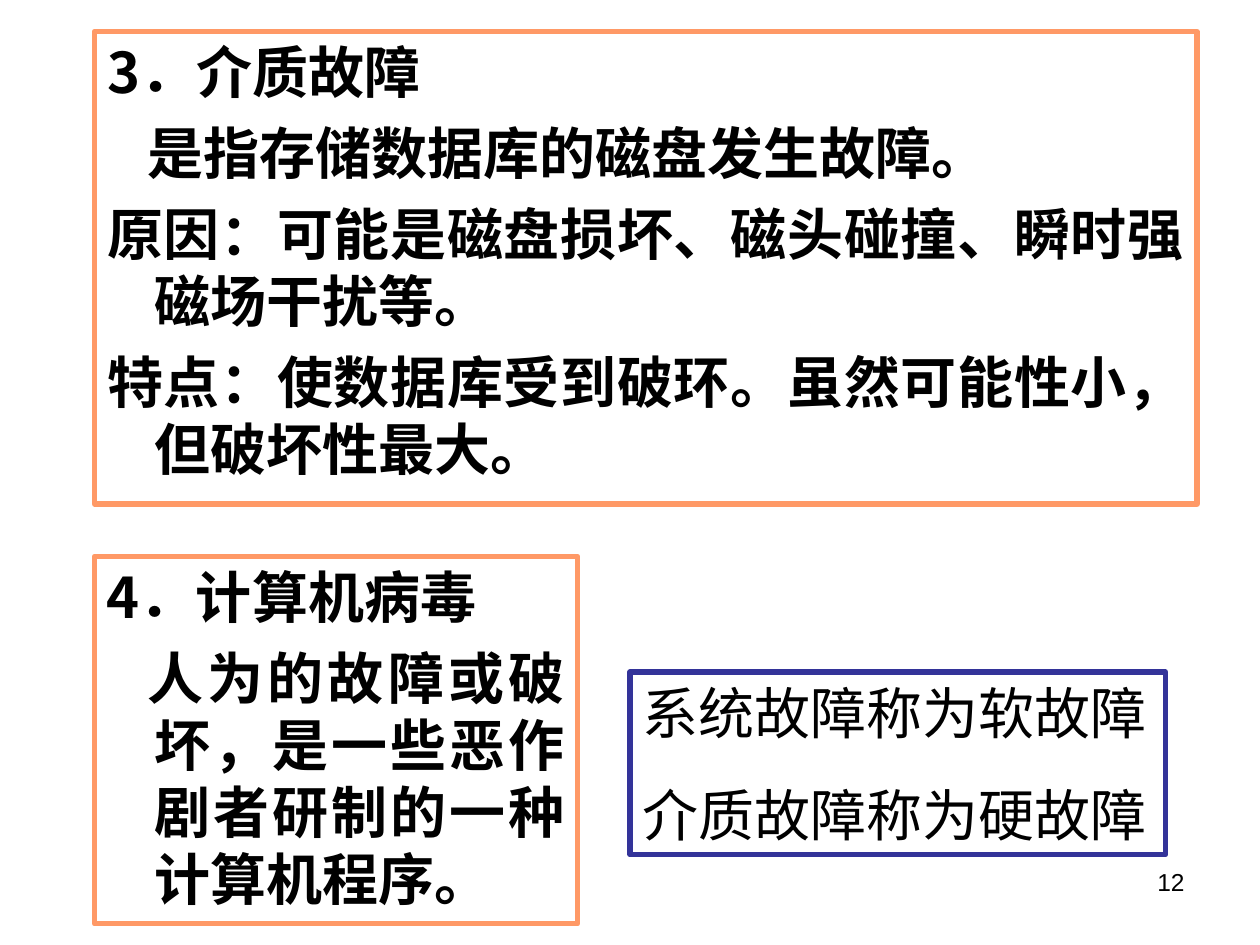
from lxml import etree
from pptx import Presentation
from pptx.dml.color import RGBColor
from pptx.enum.shapes import MSO_SHAPE
from pptx.enum.text import MSO_ANCHOR, MSO_AUTO_SIZE, PP_ALIGN
from pptx.oxml.ns import qn
from pptx.util import Pt

RECT = MSO_SHAPE.RECTANGLE
TOP = MSO_ANCHOR.TOP
NO_FIT = MSO_AUTO_SIZE.NONE
LEFT, RIGHT, JUSTIFY = PP_ALIGN.LEFT, PP_ALIGN.RIGHT, PP_ALIGN.JUSTIFY

BLACK = RGBColor(0x00, 0x00, 0x00)
WHITE = RGBColor(0xFF, 0xFF, 0xFF)
ORANGE = RGBColor(0xFF, 0x99, 0x66)
INDIGO = RGBColor(0x33, 0x33, 0x99)

CJK = "Noto Sans CJK SC"
MARGIN = 27  # left edge of wrapped lines
HANG = -27   # first line of a heading or labelled paragraph
INSET = -4   # first line of an explanation


def add_text(tf, text, *, first=False, font=CJK, size=32, bold=False,
             align=LEFT, before=0, line=None, margin=0, indent=0):
    """Write one paragraph into a text frame."""
    p = tf.paragraphs[0] if first else tf.add_paragraph()
    p.alignment = align
    p.space_before = Pt(0 if first else before)
    if line:
        p.line_spacing = Pt(line)
    pPr = p._p.get_or_add_pPr()
    pPr.set("marL", str(Pt(margin)))
    pPr.set("indent", str(Pt(indent)))
    etree.SubElement(pPr, qn("a:buNone"))
    r = p.add_run()
    r.text = text
    r.font.name, r.font.size, r.font.bold = font, Pt(size), bold
    r.font.color.rgb = BLACK
    ea = etree.SubElement(r._r.get_or_add_rPr(), qn("a:ea"))
    ea.set("typeface", CJK)


def set_frame(s):
    """Give a shape a wrapping, top-anchored text frame."""
    tf = s.text_frame
    tf.word_wrap = True
    tf.auto_size = NO_FIT
    tf.vertical_anchor = TOP
    return tf


def format_panel(s, color):
    """Paint a white panel with a coloured border."""
    s.fill.solid()
    s.fill.fore_color.rgb = WHITE
    s.line.color.rgb = color
    s.line.width = Pt(3)
    return set_frame(s)


def add_panel(slide, left, top, width, height, color):
    s = slide.shapes.add_shape(RECT, Pt(left), Pt(top), Pt(width), Pt(height))
    s.shadow.inherit = False
    return format_panel(s, color)


def add_fault(tf, items):
    """Write a fault description as (text, first-line indent) pairs."""
    for i, (text, indent) in enumerate(items):
        add_text(tf, text, first=i == 0, bold=True, align=JUSTIFY, before=8,
                 line=38.3, margin=MARGIN, indent=indent)


def main():
    prs = Presentation()
    prs.slide_width, prs.slide_height = Pt(720), Pt(540)
    slide = prs.slides.add_slide(prs.slide_layouts[1])
    title = slide.shapes.title
    title._element.getparent().remove(title._element)

    # Page number
    s = slide.shapes.add_textbox(Pt(516), Pt(492), Pt(168), Pt(37.5))
    add_text(set_frame(s), "12", first=True, font="Arial", size=14, align=RIGHT)

    # Media failure
    body = slide.placeholders[1]
    body.left, body.top, body.width, body.height = Pt(54), Pt(18), Pt(630), Pt(270)
    add_fault(format_panel(body, ORANGE), [
        ("3．介质故障", HANG),
        ("是指存储数据库的磁盘发生故障。", INSET),
        ("原因：可能是磁盘损坏、磁头碰撞、瞬时强磁场干扰等。", HANG),
        ("特点：使数据库受到破环。虽然可能性小，但破坏性最大。", HANG),
    ])

    # Soft and hard failures
    tf = add_panel(slide, 360, 384, 306, 104.4, INDIGO)
    for i, text in enumerate(["系统故障称为软故障", "介质故障称为硬故障"]):
        add_text(tf, text, first=i == 0, font="Times New Roman", before=20, line=38.3)

    # Computer virus
    add_fault(add_panel(slide, 54, 318, 276, 210, ORANGE), [
        ("4．计算机病毒", HANG),
        ("人为的故障或破坏，是一些恶作剧者研制的一种计算机程序。", INSET),
    ])

    prs.save("out.pptx")


if __name__ == "__main__":
    main()
